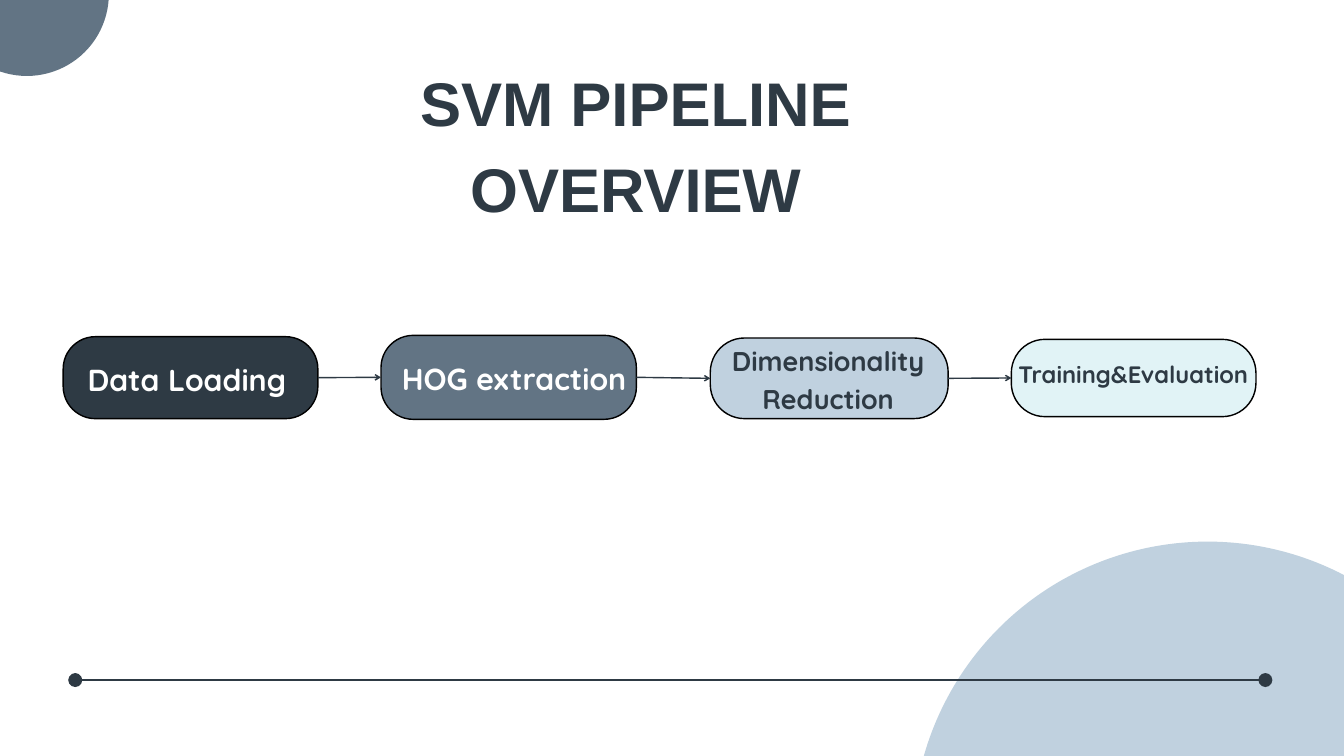
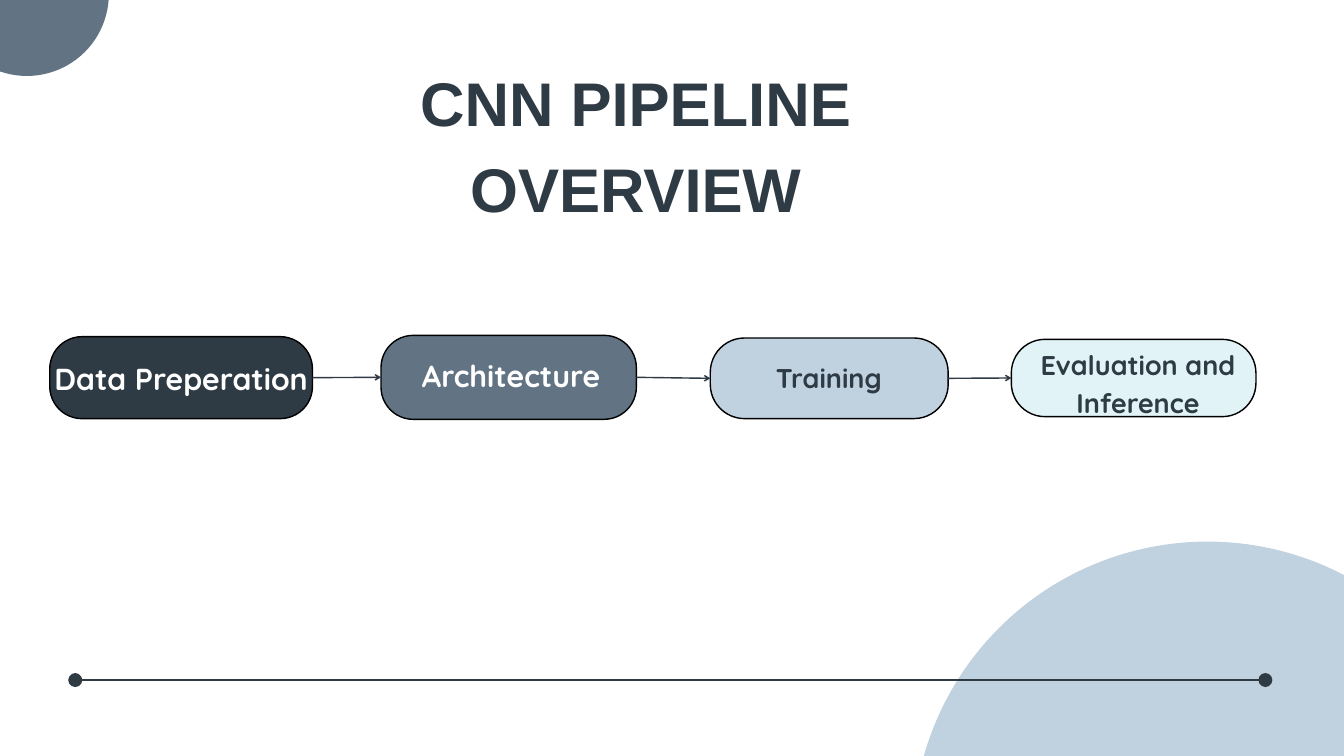
from dataclasses import dataclass

from lxml.etree import SubElement
from pptx import Presentation
from pptx.dml.color import RGBColor
from pptx.enum.shapes import MSO_CONNECTOR, MSO_SHAPE
from pptx.enum.text import MSO_ANCHOR, MSO_AUTO_SIZE, PP_ALIGN
from pptx.oxml.ns import qn
from pptx.util import Emu, Pt

PX = 9144  # EMU per px, 100 px to the inch
SLIDE_SIZE = (2000, 1125)

NAVY = "2E3A44"
SLATE = "627484"
MIST = "C0D1DF"
ICE = "E1F3F6"
WHITE = "FFFFFF"
BLACK = "000000"

TITLE_FONT = "Arial"
LABEL_FONT = "Quicksand"
LINE_SPACING = 1.4
TITLE_BOX = (368, 78, 1156, 144)


@dataclass
class Step:
    label: str
    label_box: tuple
    size: float = 29


@dataclass
class StepStyle:
    box: tuple
    corner: int
    fill: str
    text: str


STEP_STYLES = [
    StepStyle((94, 501, 379, 122), 48, NAVY, WHITE),
    StepStyle((567, 499, 380, 125), 48, SLATE, WHITE),
    StepStyle((1057, 503, 354, 120), 51, MIST, NAVY),
    StepStyle((1505, 505, 364, 115), 50, ICE, NAVY),
]
WIDE_FIRST_BOX = (74, 501, 391, 122)

SVM_STEPS = [
    Step("Data Loading", (123, 528, 310, 61), 32.5),
    Step("HOG extraction", (575, 527, 380, 61), 32.5),
    Step("Dimensionality Reduction", (1071, 505, 323, 110)),
    Step("Training&Evaluation", (1513, 529, 347, 48), 25.4),
]
CNN_STEPS = [
    Step("Data Preperation", (74, 527, 391, 61), 32.5),
    Step("Architecture", (548, 522, 425, 61), 32.5),
    Step("Training", (1072, 530, 323, 54)),
    Step("Evaluation and Inference", (1520, 511, 347, 109)),
]


def px(*lengths):
    return [Emu(length * PX) for length in lengths]


def color(hex_string):
    return RGBColor.from_string(hex_string)


def write_text(shape, text, font_name, size, text_color):
    """Fill a shape with one centred bold paragraph, starting at its top edge."""
    frame = shape.text_frame
    frame.word_wrap = True
    frame.auto_size = MSO_AUTO_SIZE.SHAPE_TO_FIT_TEXT
    frame.vertical_anchor = MSO_ANCHOR.TOP
    frame.margin_left = frame.margin_top = frame.margin_right = frame.margin_bottom = 0
    paragraph = frame.paragraphs[0]
    paragraph.alignment = PP_ALIGN.CENTER
    paragraph.space_before = Pt(0)
    paragraph.line_spacing = Pt(round(size * LINE_SPACING, 1))
    run = paragraph.add_run()
    run.text = text
    run.font.name = font_name
    run.font.size = Pt(size)
    run.font.bold = True
    run.font.color.rgb = color(text_color)


def set_title(slide, text):
    title = slide.shapes.title
    title.left, title.top, title.width, title.height = px(*TITLE_BOX)
    write_text(title, text, TITLE_FONT, 66, NAVY)


def add_filled_shape(slide, kind, box, fill):
    shape = slide.shapes.add_shape(kind, *px(*box))
    shape.shadow.inherit = False
    shape.fill.solid()
    shape.fill.fore_color.rgb = color(fill)
    return shape


def add_circle(slide, left, top, diameter, fill):
    box = (left, top, diameter, diameter)
    circle = add_filled_shape(slide, MSO_SHAPE.OVAL, box, fill)
    circle.line.fill.background()


def add_line(slide, ends, width, **markers):
    """Draw a straight line; markers maps headEnd or tailEnd to (type, size)."""
    line = slide.shapes.add_connector(MSO_CONNECTOR.STRAIGHT, *px(*ends))
    line.line.color.rgb = color(NAVY)
    line.line.width = Pt(width)
    outline = line.line._get_or_add_ln()
    for end, (kind, size) in markers.items():
        SubElement(outline, qn(f"a:{end}"), type=kind, w=size, len=size)
    SubElement(line._element.spPr, qn("a:effectLst"))
    return line


def add_decoration(slide):
    add_circle(slide, 1358, 806, 878, MIST)
    dot = ("oval", "lg")
    add_line(slide, (112, 1012, 1883, 1012), 3, headEnd=dot, tailEnd=dot)
    add_circle(slide, -82, -131, 244, SLATE)


def add_step(slide, step, style, box):
    card = add_filled_shape(slide, MSO_SHAPE.ROUNDED_RECTANGLE, box, style.fill)
    card.adjustments[0] = style.corner / box[3]
    card.line.color.rgb = color(BLACK)
    card.line.width = Pt(1.5)
    label = slide.shapes.add_textbox(*px(*step.label_box))
    write_text(label, step.label, LABEL_FONT, step.size, style.text)
    return card


def add_arrow(slide, source, target):
    arrow = add_line(slide, (0, 0, 0, 0), 1.5, tailEnd=("arrow", "med"))
    arrow.begin_connect(source, 3)
    arrow.end_connect(target, 1)


def add_pipeline_slide(presentation, title, steps, first_box):
    slide = presentation.slides.add_slide(presentation.slide_layouts[5])
    add_decoration(slide)
    set_title(slide, title)
    boxes = [first_box] + [style.box for style in STEP_STYLES[1:]]
    cards = [
        add_step(slide, step, style, box)
        for step, style, box in zip(steps, STEP_STYLES, boxes)
    ]
    for source, target in zip(cards, cards[1:]):
        add_arrow(slide, source, target)


def main():
    presentation = Presentation()
    presentation.slide_width, presentation.slide_height = px(*SLIDE_SIZE)
    add_pipeline_slide(
        presentation, "SVM PIPELINE OVERVIEW", SVM_STEPS, STEP_STYLES[0].box
    )
    add_pipeline_slide(
        presentation, "CNN PIPELINE OVERVIEW", CNN_STEPS, WIDE_FIRST_BOX
    )
    presentation.save("out.pptx")


if __name__ == "__main__":
    main()
